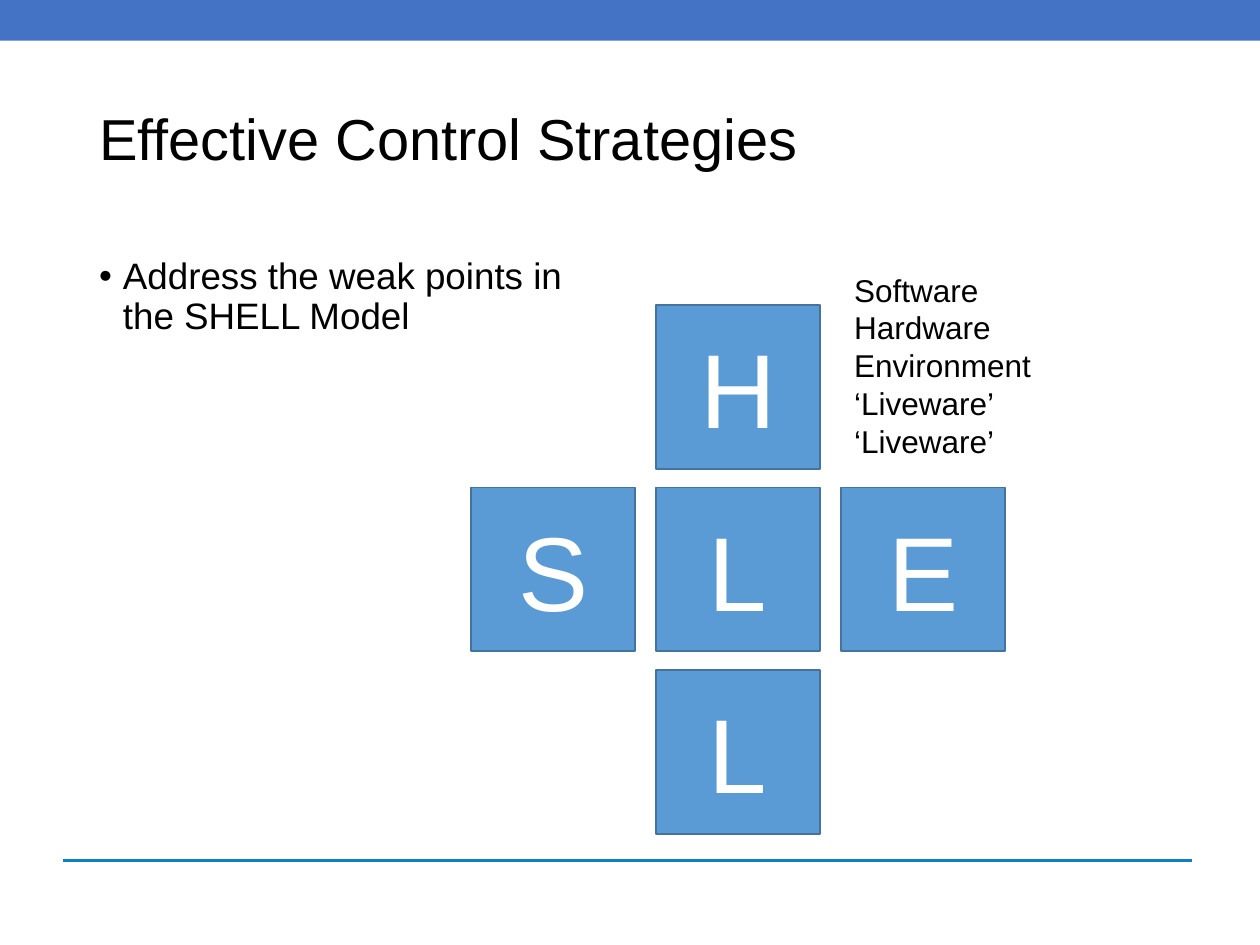
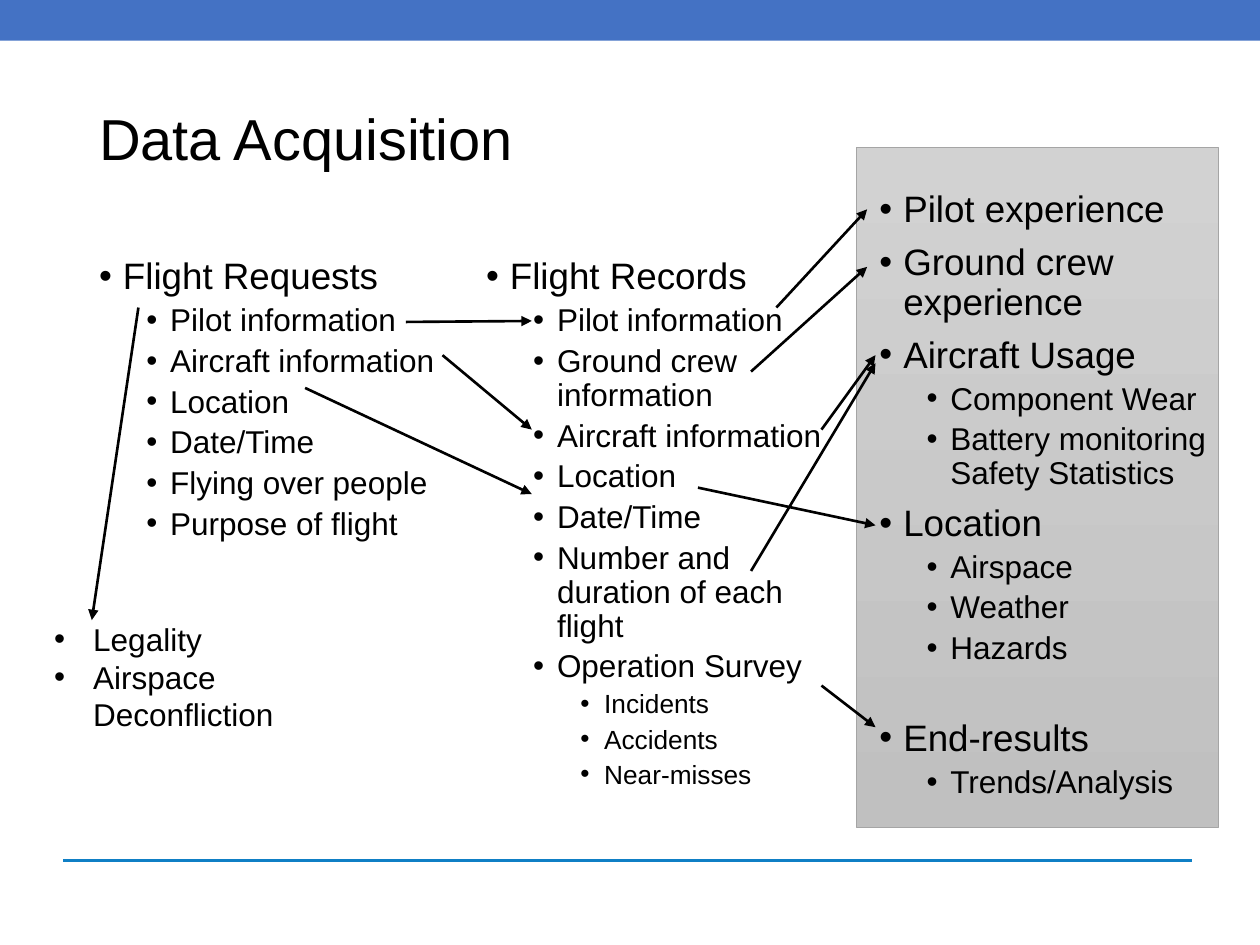
from typing import NamedTuple, Optional

from lxml import etree
from pptx import Presentation
from pptx.dml.color import RGBColor
from pptx.enum import shapes, text
from pptx.oxml.ns import qn
from pptx.shapes.autoshape import Shape
from pptx.shapes.connector import Connector
from pptx.slide import Slide
from pptx.util import Cm, Pt

FONT = "Arial"
BLACK, WHITE = "000000", "FFFFFF"
BAND, RULE = "4472C4", "0F7FC5"
TILE, TILE_EDGE = "5B9BD5", "43739E"
PANEL_TOP, PANEL_BOTTOM, PANEL_EDGE = "D2D2D2", "C0C0C0", "A5A5A5"


class Box(NamedTuple):
    left: float
    top: float
    width: float
    height: float


class Style(NamedTuple):
    size: float
    before: float = 0
    spacing: Optional[float] = None
    margin: float = 0
    hanging: float = 0


class Line(NamedTuple):
    words: str
    style: Style
    before: Optional[float] = None


class Route(NamedTuple):
    x1: float
    y1: float
    x2: float
    y2: float


class Tile(NamedTuple):
    letter: str
    column: int
    row: int


TITLE = Style(33, spacing=0.9)
TOPIC = Style(21, 7.5, 0.9, 0.48, 0.48)
DETAIL = Style(18, 3.8, 0.9, 1.43, 0.48)
EXAMPLE = Style(15, 3.8, 0.9, 2.38, 0.48)
NOTE = Style(18)
OUTCOME = Style(18, margin=0.79, hanging=0.79)

TITLE_BOX = Box(1.75, 1.02, 21.89, 3.68)
TILE_SIZE, COLUMN_STEP, ROW_STEP = 3.3, 3.73, 3.68
CENTRE_LEFT, CENTRE_TOP = 13.23, 9.83

SHELL_TILES = [
    Tile("H", 0, -1),
    Tile("L", 0, 0),
    Tile("L", 0, 1),
    Tile("S", -1, 0),
    Tile("E", 1, 0),
]
SHELL_WORDS = ["Software", "Hardware", "Environment", "‘Liveware’", "‘Liveware’"]

FLIGHT_REQUESTS = [
    Line("Flight Requests", TOPIC),
    Line("Pilot information", DETAIL),
    Line("Aircraft information", DETAIL),
    Line("Location", DETAIL),
    Line("Date/Time", DETAIL),
    Line("Flying over people", DETAIL),
    Line("Purpose of flight", DETAIL),
]
FLIGHT_RECORDS = [
    Line("Flight Records", TOPIC),
    Line("Pilot information", DETAIL),
    Line("Ground crew information", DETAIL),
    Line("Aircraft information", DETAIL),
    Line("Location", DETAIL),
    Line("Date/Time", DETAIL),
    Line("Number and duration of each flight", DETAIL),
    Line("Operation Survey", DETAIL),
    Line("Incidents", EXAMPLE),
    Line("Accidents", EXAMPLE),
    Line("Near-misses", EXAMPLE),
]
RESULTS = [
    Line("Pilot experience", TOPIC),
    Line("Ground crew experience", TOPIC),
    Line("Aircraft Usage", TOPIC),
    Line("Component Wear", DETAIL),
    Line("Battery monitoring\nSafety Statistics", DETAIL),
    Line("Location", TOPIC),
    Line("Airspace", DETAIL),
    Line("Weather", DETAIL),
    Line("Hazards", DETAIL),
    Line("End-results", TOPIC, before=30.4),
    Line("Trends/Analysis", DETAIL),
]
LEGAL_OUTCOMES = [Line("Legality", OUTCOME), Line("Airspace Deconfliction", OUTCOME)]

DATA_FLOWS = [
    Route(8.18, 6.49, 10.72, 6.47),
    Route(2.79, 6.2, 1.85, 12.5),
    Route(8.92, 7.16, 10.72, 8.66),
    Route(16.56, 8.66, 17.65, 7.16),
    Route(15.14, 7.49, 17.48, 5.38),
    Route(15.65, 6.2, 17.48, 4.22),
    Route(15.14, 11.51, 17.65, 7.32),
    Route(14.07, 9.83, 17.65, 10.59),
    Route(6.15, 7.82, 10.72, 9.96),
    Route(16.56, 13.82, 17.65, 14.66),
]


def rgb(value: str) -> RGBColor:
    return RGBColor.from_string(value)


def add_run(paragraph, words: str, size: float, colour: str) -> None:
    run = paragraph.add_run()
    run.text = words
    run.font.name = FONT
    run.font.size = Pt(size)
    run.font.color.rgb = rgb(colour)


def add_bullet(paragraph, style: Style) -> None:
    properties = paragraph._p.get_or_add_pPr()
    properties.set("marL", str(Cm(style.margin)))
    properties.set("indent", str(-Cm(style.hanging)))
    etree.SubElement(properties, qn("a:buFont")).set("typeface", FONT)
    etree.SubElement(properties, qn("a:buChar")).set("char", "•")


def add_text(slide: Slide, box: Box, lines: list[Line],
             anchor=text.MSO_ANCHOR.TOP, grow: bool = False) -> None:
    frame = slide.shapes.add_textbox(*map(Cm, box)).text_frame
    frame.word_wrap = True
    frame.vertical_anchor = anchor
    if grow:
        frame.auto_size = text.MSO_AUTO_SIZE.SHAPE_TO_FIT_TEXT
    for index, line in enumerate(lines):
        style = line.style
        paragraph = frame.add_paragraph() if index else frame.paragraphs[0]
        paragraph.space_before = Pt(style.before if line.before is None else line.before)
        if style.spacing:
            paragraph.line_spacing = style.spacing
        if style.hanging:
            add_bullet(paragraph, style)
        for part, words in enumerate(line.words.split("\n")):
            if part:
                paragraph.add_line_break()
            add_run(paragraph, words, style.size, BLACK)


def add_rectangle(slide: Slide, box: Box, fill: str,
                  edge: Optional[str] = None, edge_width: float = 1) -> Shape:
    rectangle = slide.shapes.add_shape(shapes.MSO_SHAPE.RECTANGLE, *map(Cm, box))
    rectangle.shadow.inherit = False
    rectangle.fill.solid()
    rectangle.fill.fore_color.rgb = rgb(fill)
    if edge:
        rectangle.line.color.rgb = rgb(edge)
        rectangle.line.width = Pt(edge_width)
    else:
        rectangle.line.fill.background()
    return rectangle


def add_line(slide: Slide, route: Route, colour: str) -> Connector:
    line = slide.shapes.add_connector(shapes.MSO_CONNECTOR.STRAIGHT, *map(Cm, route))
    line.line.color.rgb = rgb(colour)
    line.line.width = Pt(1.5)
    etree.SubElement(line._element.spPr, qn("a:effectLst"))
    return line


def add_arrow(slide: Slide, route: Route) -> None:
    arrow = add_line(slide, route, BLACK)
    etree.SubElement(arrow.line._get_or_add_ln(), qn("a:tailEnd")).set("type", "triangle")


def add_tile(slide: Slide, tile: Tile) -> None:
    box = Box(CENTRE_LEFT + tile.column * COLUMN_STEP,
              CENTRE_TOP + tile.row * ROW_STEP, TILE_SIZE, TILE_SIZE)
    frame = add_rectangle(slide, box, TILE, TILE_EDGE).text_frame
    frame.vertical_anchor = text.MSO_ANCHOR.MIDDLE
    letter = frame.paragraphs[0]
    letter.alignment = text.PP_ALIGN.CENTER
    add_run(letter, tile.letter, 60, WHITE)


def add_results_panel(slide: Slide) -> None:
    panel = add_rectangle(slide, Box(17.27, 2.97, 7.29, 13.72), PANEL_TOP, PANEL_EDGE, 0.5)
    panel.fill.gradient()
    panel.fill.gradient_angle = 270
    for stop, colour in zip(panel.fill.gradient_stops, (PANEL_TOP, PANEL_BOTTOM)):
        stop.color.rgb = rgb(colour)


def start_slide(deck, title: str) -> Slide:
    slide = deck.slides.add_slide(deck.slide_layouts[6])
    add_line(slide, Route(1.27, 17.35, 24.03, 17.35), RULE)
    add_rectangle(slide, Box(0, 0, 25.4, 0.82), BAND)
    add_text(slide, TITLE_BOX, [Line(title, TITLE)], text.MSO_ANCHOR.MIDDLE)
    return slide


def build_control_strategies(deck) -> None:
    slide = start_slide(deck, "Effective Control Strategies")
    advice = Line("Address the weak points in the SHELL Model", TOPIC)
    add_text(slide, Box(1.75, 5.08, 10.74, 12.09), [advice])
    for tile in SHELL_TILES:
        add_tile(slide, tile)
    add_text(slide, Box(16.97, 5.33, 5.49, 4.11),
             [Line(word, NOTE) for word in SHELL_WORDS], grow=True)


def build_data_acquisition(deck) -> None:
    slide = start_slide(deck, "Data Acquisition")
    add_results_panel(slide)
    add_text(slide, Box(1.75, 5.08, 7.7, 12.09), FLIGHT_REQUESTS)
    add_text(slide, Box(17.48, 3.73, 7.72, 12.6), RESULTS)
    add_text(slide, Box(9.55, 5.08, 7.72, 12.09), FLIGHT_RECORDS)
    add_text(slide, Box(0.84, 12.37, 7.09, 2.57), LEGAL_OUTCOMES, grow=True)
    for flow in DATA_FLOWS:
        add_arrow(slide, flow)


def main() -> None:
    deck = Presentation()
    deck.slide_width, deck.slide_height = Cm(25.4), Cm(19.05)
    build_control_strategies(deck)
    build_data_acquisition(deck)
    deck.save("out.pptx")


if __name__ == "__main__":
    main()
